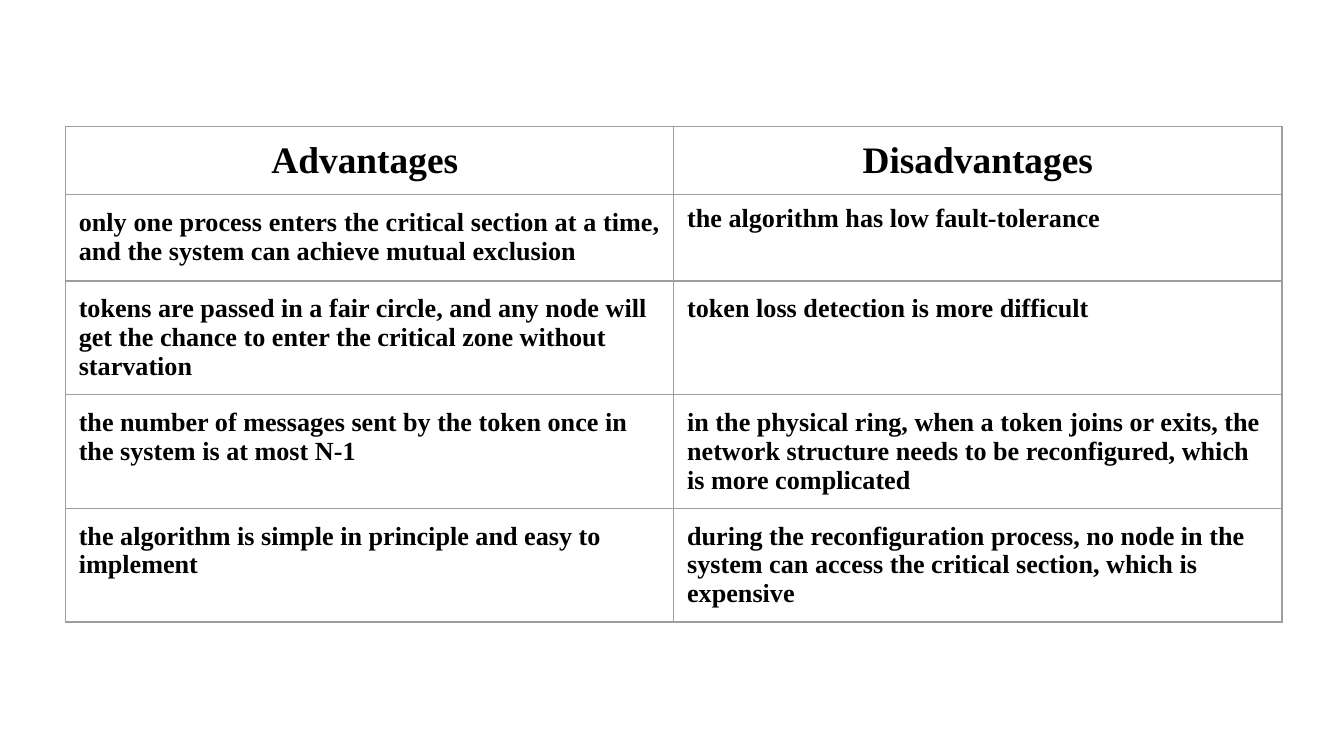
from lxml import etree
from pptx import Presentation
from pptx.dml.color import RGBColor
from pptx.enum import text
from pptx.oxml.ns import qn
from pptx.util import Pt

COLORS = {"ink": "000000", "border": "9E9E9E"}
ALIGN = text.PP_ALIGN


class Deck:
    """Hold the style and the current slide, and draw each kind of element."""

    font = {"name": "Times New Roman", "bold": True}
    margins = {f"margin_{side}": Pt(7.2) for side in ("left", "right", "top", "bottom")}
    border_width = Pt(0.75)

    def __init__(self, width, height):
        self.presentation = Presentation()
        self.presentation.slide_width = Pt(width)
        self.presentation.slide_height = Pt(height)
        self.slide = self.presentation.slides.add_slide(self.presentation.slide_layouts[6])

    def apply(self, target, values):
        for name, value in values.items():
            setattr(target, name, value)

    def borders(self, cell):
        properties = cell._tc.get_or_add_tcPr()
        for position, side in enumerate(("lnL", "lnR", "lnT", "lnB")):
            line = etree.Element(qn(f"a:{side}"), w=str(self.border_width))
            fill = etree.SubElement(line, qn("a:solidFill"))
            etree.SubElement(fill, qn("a:srgbClr"), val=COLORS["border"])
            properties.insert(position, line)

    def cell(self, cell, wording, size, layout):
        self.apply(cell, self.margins)
        cell.fill.background()
        self.borders(cell)
        paragraph = cell.text_frame.paragraphs[0]
        self.apply(paragraph, layout)
        run = paragraph.add_run()
        run.text = wording
        self.apply(run.font, {**self.font, "size": Pt(size)})
        run.font.color.rgb = RGBColor.from_string(COLORS["ink"])

    def table(self, left, top, column_width, heights, rows, layouts):
        columns = len(rows[0])
        table = self.slide.shapes.add_table(
            len(rows), columns, Pt(left), Pt(top),
            Pt(column_width * columns), Pt(sum(heights))).table
        self.apply(table, {"first_row": False, "horz_banding": False})
        for column in table.columns:
            column.width = Pt(column_width)
        for r, (height, row) in enumerate(zip(heights, rows)):
            table.rows[r].height = Pt(height)
            for c, wording in enumerate(row):
                layout = {"alignment": ALIGN.CENTER} if r == 0 else layouts.get((r, c), {})
                self.cell(table.cell(r, c), wording, 14 if r else 20, layout)

    def save(self):
        self.presentation.save("out.pptx")


def main():
    comparison = [
        ("Advantages ", "Disadvantages"),
        ("only one process enters the critical section at a time, "
         "and the system can achieve mutual exclusion",
         "the algorithm has low fault-tolerance"),
        ("tokens are passed in a fair circle, and any node will get the chance "
         "to enter the critical zone without starvation",
         "token loss detection is more difficult"),
        ("the number of messages sent by the token once in the system is at most N-1",
         "in the physical ring, when a token joins or exits, the network structure "
         "needs to be reconfigured, which is more complicated"),
        ("the algorithm is simple in principle and easy to implement",
         "during the reconfiguration process, no node in the system can access "
         "the critical section, which is expensive"),
    ]
    layouts = {(1, 0): {"alignment": ALIGN.JUSTIFY}, (1, 1): {"line_spacing": 0.84}}
    deck = Deck(720, 405)
    deck.table(35, 67.6, 325.9, [36.8, 46.2, 60.9, 60.9, 60.9], comparison, layouts)
    deck.save()


if __name__ == "__main__":
    main()
